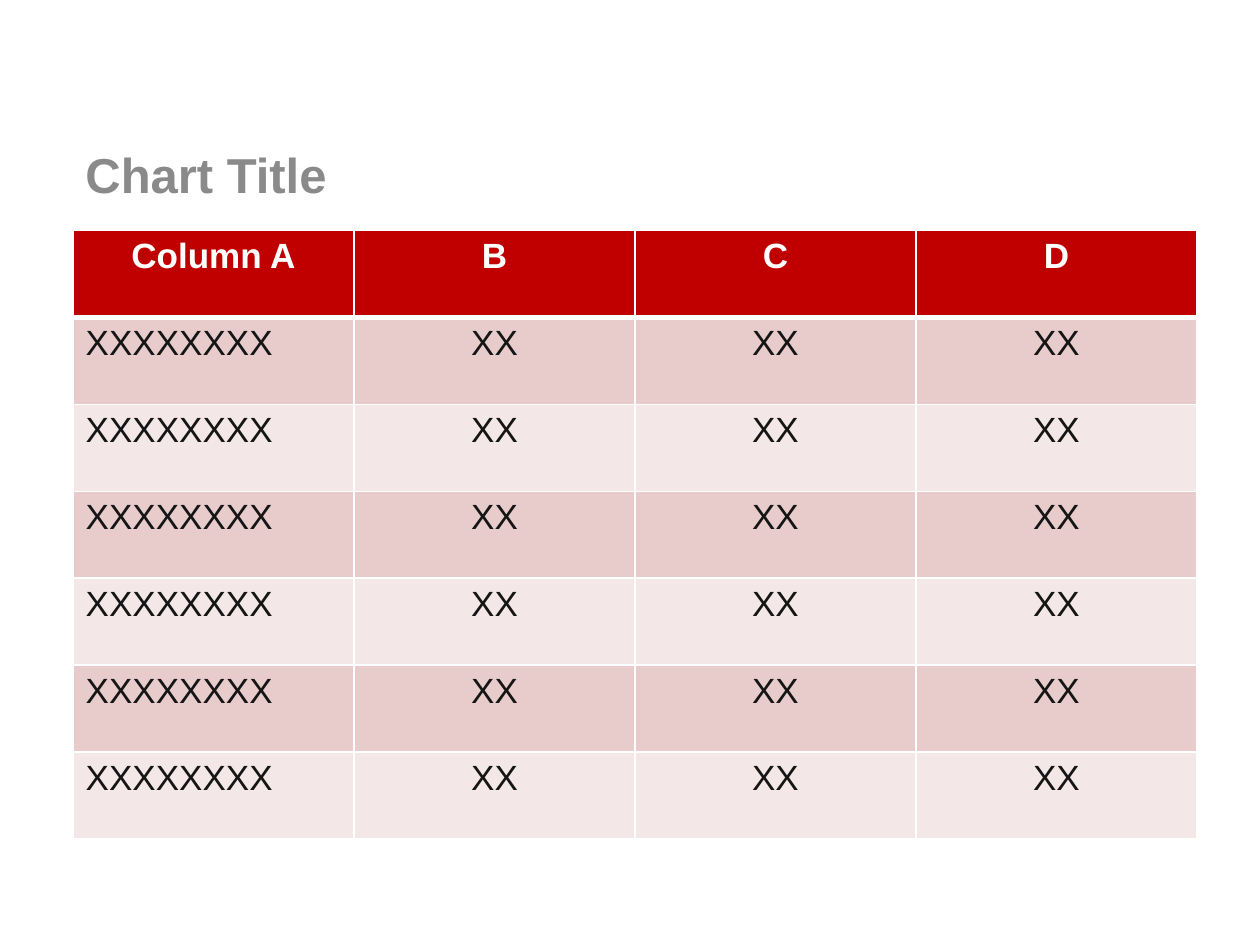
import pptx
import pptx.util
import pptx.dml.color
import pptx.enum.text
import pptx.oxml
import pptx.oxml.ns
from dataclasses import dataclass

Inches = pptx.util.Inches
Pt = pptx.util.Pt
RGB = pptx.dml.color.RGBColor.from_string
ALIGN = pptx.enum.text.PP_ALIGN
ANCHOR = pptx.enum.text.MSO_ANCHOR


@dataclass(frozen=True)
class Theme:
    font: str = "Arial"
    title: str = "8A8A8A"
    header: str = "C00000"
    bands: tuple = ("E8CCCC", "F4E7E7")
    ink: str = "151515"
    white: str = "FFFFFF"
    title_size: int = 28
    cell_size: int = 20
    rule: float = 0.96
    header_rule: float = 3


THEME = Theme()


def write(tf, text, size, color, bold, align):
    p = tf.paragraphs[0]
    p.alignment = align
    r = p.add_run()
    r.text = text
    for name, value in {"name": THEME.font, "size": Pt(size), "bold": bold}.items():
        setattr(r.font, name, value)
    r.font.color.rgb = RGB(color)


def set_borders(cell, widths):
    tcPr = cell._tc.get_or_add_tcPr()
    for i, (side, width) in enumerate(widths.items()):
        line = pptx.oxml.parse_xml(
            f'<a:{side} {pptx.oxml.ns.nsdecls("a")} w="{Pt(width)}">'
            f'<a:solidFill><a:srgbClr val="{THEME.white}"/></a:solidFill></a:{side}>'
        )
        tcPr.insert(i, line)


def add_title(slide, left, top, width, height, text):
    tf = slide.shapes.add_textbox(left, top, width, height).text_frame
    for name, value in {"word_wrap": True, "vertical_anchor": ANCHOR.BOTTOM}.items():
        setattr(tf, name, value)
    write(tf, text, THEME.title_size, THEME.title, True, ALIGN.LEFT)


def add_grid(slide, left, top, width, height, rows):
    table = slide.shapes.add_table(
        len(rows), len(rows[0]), left, top, width, height
    ).table
    for i, row in enumerate(rows):
        header = i == 0
        fill = THEME.header if header else THEME.bands[(i - 1) % 2]
        borders = {
            "lnL": THEME.rule,
            "lnR": THEME.rule,
            "lnT": THEME.header_rule if i == 1 else THEME.rule,
            "lnB": THEME.header_rule if header else THEME.rule,
        }
        for j, text in enumerate(row):
            cell = table.cell(i, j)
            cell.fill.solid()
            cell.fill.fore_color.rgb = RGB(fill)
            set_borders(cell, borders)
            color = THEME.white if header else THEME.ink
            align = ALIGN.CENTER if header or j else ALIGN.LEFT
            write(cell.text_frame, text, THEME.cell_size, color, header, align)


def main():
    prs = pptx.Presentation()
    prs.slide_width, prs.slide_height = Inches(10), Inches(7.5)
    slide = prs.slides.add_slide(prs.slide_layouts[6])
    left, width = Inches(0.58), Inches(8.92)
    add_title(slide, left, Inches(1.08), width, Inches(0.58), "Chart Title")
    rows = [["Column A", "B", "C", "D"]] + [["XXXXXXXX", "XX", "XX", "XX"]] * 6
    add_grid(slide, left, Inches(1.83), width, Inches(4.83), rows)
    prs.save("out.pptx")


if __name__ == "__main__":
    main()
